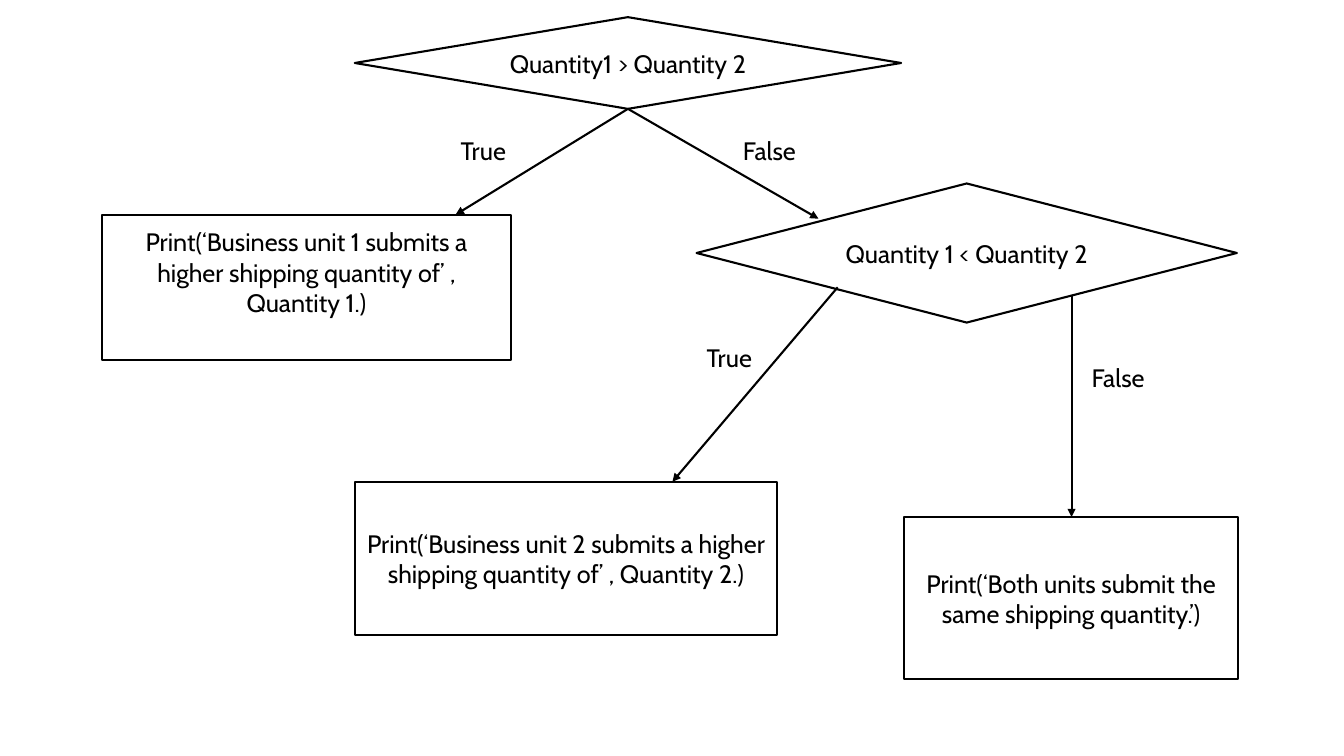
from dataclasses import dataclass

from lxml import etree
from pptx import Presentation
from pptx.dml.color import RGBColor
from pptx.enum.shapes import MSO_CONNECTOR, MSO_SHAPE
from pptx.enum.text import MSO_ANCHOR, MSO_AUTO_SIZE, PP_ALIGN
from pptx.oxml.ns import qn
from pptx.util import Inches, Pt

DIAMOND, RECTANGLE = MSO_SHAPE.DIAMOND, MSO_SHAPE.RECTANGLE
STRAIGHT = MSO_CONNECTOR.STRAIGHT
MIDDLE, TOP = MSO_ANCHOR.MIDDLE, MSO_ANCHOR.TOP
CENTER, LEFT = PP_ALIGN.CENTER, PP_ALIGN.LEFT
GROW = MSO_AUTO_SIZE.SHAPE_TO_FIT_TEXT

WIDTH, HEIGHT = Inches(13.333), Inches(7.5)
FONT, TEXT_SIZE, LINE_WIDTH = "Cabin", Pt(18), Pt(1.5)
BLACK, WHITE = "000000", "FFFFFF"
LABEL_HEIGHT = 5.33


# All positions and sizes are percentages of the slide's width or height.
@dataclass(frozen=True)
class Node:
    kind: int
    text: str
    left: float
    top: float
    width: float
    height: float
    bottom_inset: float = 0.05  # inches

    @property
    def center(self) -> float:
        return self.left + self.width / 2

    @property
    def bottom(self) -> float:
        return self.top + self.height


@dataclass(frozen=True)
class Branch:
    start: tuple[float, float]
    end: tuple[float, float]
    label: str
    label_left: float
    label_top: float
    label_width: float


def across(share: float) -> int:
    return round(WIDTH * share / 100)


def down(share: float) -> int:
    return round(HEIGHT * share / 100)


def color(value: str) -> RGBColor:
    return RGBColor.from_string(value)


def write(shape, text: str, alignment, anchor) -> None:
    frame = shape.text_frame
    frame.word_wrap = True
    frame.vertical_anchor = anchor
    paragraph = frame.paragraphs[0]
    paragraph.alignment = alignment
    run = paragraph.add_run()
    run.text = text
    run.font.name = FONT
    run.font.size = TEXT_SIZE
    run.font.color.rgb = color(BLACK)


def draw_line(line) -> None:
    line.color.rgb = color(BLACK)
    line.width = LINE_WIDTH


def draw_node(slide, node: Node) -> None:
    shape = slide.shapes.add_shape(node.kind, across(node.left), down(node.top),
                                   across(node.width), down(node.height))
    shape.shadow.inherit = False
    shape.fill.solid()
    shape.fill.fore_color.rgb = color(WHITE)
    draw_line(shape.line)
    write(shape, node.text, CENTER, MIDDLE)
    shape.text_frame.margin_bottom = Inches(node.bottom_inset)


def draw_branch(slide, branch: Branch) -> None:
    # Arrow
    (start_x, start_y), (end_x, end_y) = branch.start, branch.end
    arrow = slide.shapes.add_connector(STRAIGHT, across(start_x), down(start_y),
                                       across(end_x), down(end_y))
    draw_line(arrow.line)
    etree.SubElement(arrow.line._get_or_add_ln(), qn("a:tailEnd"), type="triangle")
    etree.SubElement(arrow._element.spPr, qn("a:effectLst"))

    # Label
    label = slide.shapes.add_textbox(across(branch.label_left), down(branch.label_top),
                                     across(branch.label_width), down(LABEL_HEIGHT))
    write(label, branch.label, LEFT, TOP)
    label.text_frame.auto_size = GROW


# Decisions and outcomes
GREATER = Node(DIAMOND, "Quantity1 > Quantity 2", 26.4, 2.27, 40.65, 12.13)
LESS = Node(DIAMOND, "Quantity 1 < Quantity 2", 51.83, 24.27, 40.2, 18.4)
UNIT_1 = Node(RECTANGLE, "Print(‘Business unit 1 submits a higher shipping quantity of’ , "
              "Quantity 1.)", 7.58, 28.4, 30.45, 19.2, bottom_inset=0.35)
UNIT_2 = Node(RECTANGLE, "Print(‘Business unit 2 submits a higher shipping quantity of’ , "
              "Quantity 2.)", GREATER.left, 63.73, 31.43, 20.27)
SAME = Node(RECTANGLE, "Print(‘Both units submit the same shipping quantity.’)",
            67.28, 68.4, 24.83, 21.47)
NODES = (GREATER, LESS, UNIT_1, UNIT_2, SAME)

# Arrows with their labels
FORK = (GREATER.center, GREATER.bottom)
SAME_X = 79.73
BRANCHES = (
    Branch(FORK, (33.9, UNIT_1.top), "True", 33.53, 17.2, 5.63),
    Branch(FORK, (60.9, 28.93), "False", 54.53, 17.2, 6.15),
    Branch((62.33, 38), (50.03, UNIT_2.top), "True", LESS.left, 44.67, 5.33),
    Branch((SAME_X, 39.2), (SAME_X, SAME.top), "False", 80.48, 47.33, 6),
)


def main() -> None:
    presentation = Presentation()
    presentation.slide_width, presentation.slide_height = WIDTH, HEIGHT
    slide = presentation.slides.add_slide(presentation.slide_layouts[6])
    slide.background.fill.solid()
    slide.background.fill.fore_color.rgb = color(WHITE)
    for node in NODES:
        draw_node(slide, node)
    for branch in BRANCHES:
        draw_branch(slide, branch)
    presentation.save("out.pptx")


if __name__ == "__main__":
    main()
